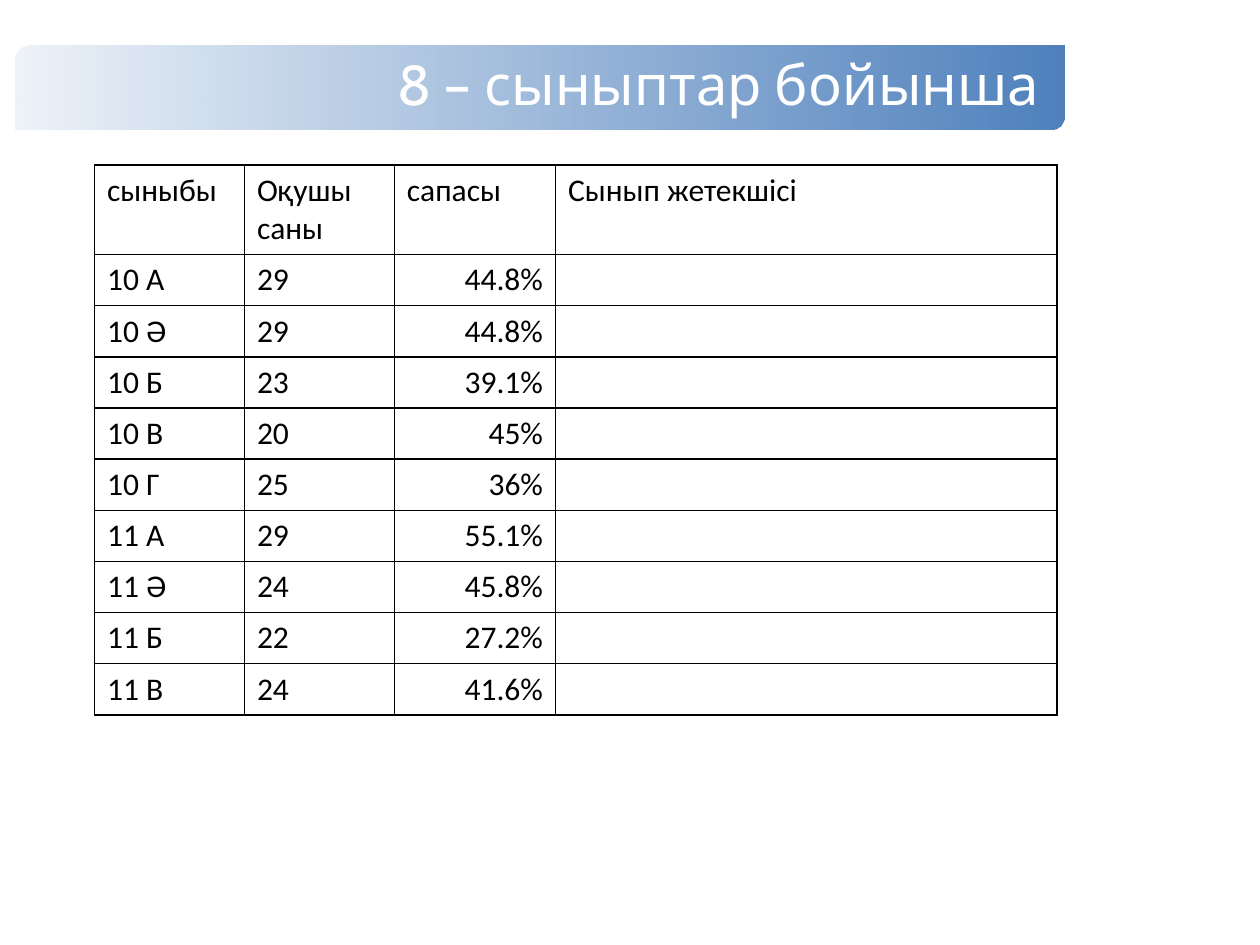
from lxml import etree
from pptx import Presentation
from pptx.dml.color import RGBColor
from pptx.enum.shapes import MSO_SHAPE
from pptx.enum.text import MSO_ANCHOR, PP_ALIGN
from pptx.oxml.ns import qn
from pptx.util import Inches, Pt

BLUE = RGBColor(0x4F, 0x81, 0xBD)
WHITE = RGBColor(0xFF, 0xFF, 0xFF)
BLACK = RGBColor(0, 0, 0)

TITLE = "8 – сыныптар бойынша"
HEADINGS = ("сыныбы", "Оқушы саны", "сапасы", "Сынып жетекшісі")
CLASSES = (
    ("10 А", "29", "44.8%", ""),
    ("10 Ә", "29", "44.8%", ""),
    ("10 Б", "23", "39.1%", ""),
    ("10 В", "20", "45%", ""),
    ("10 Г", "25", "36%", ""),
    ("11 А", "29", "55.1%", ""),
    ("11 Ә", "24", "45.8%", ""),
    ("11 Б", "22", "27.2%", ""),
    ("11 В", "24", "41.6%", ""),
)
COLUMN_WIDTHS = (1.19, 1.19, 1.28, 3.98)
QUALITY_COLUMN = 2


def add_text(paragraph, text, font_name, size, color):
    run = paragraph.add_run()
    run.text = text
    for name, value in {"name": font_name, "size": Pt(size)}.items():
        setattr(run.font, name, value)
    run.font.color.rgb = color


def add_title_banner(slide, left, top, width, height):
    banner = slide.shapes.add_shape(
        MSO_SHAPE.ROUND_2_DIAG_RECTANGLE, left, top, width, height)
    banner.shadow.inherit = False
    banner.line.fill.background()
    banner.fill.gradient()
    banner.fill.gradient_angle = 0
    stops = banner.fill.gradient_stops
    for stop, position in zip(stops, (0, 1)):
        stop.color.rgb = BLUE
        stop.position = position
    # The left end of the gradient is 10% opaque.
    faded = banner.fill._xPr.find(".//" + qn("a:srgbClr"))
    etree.SubElement(faded, qn("a:alpha"), val="10000")

    frame = banner.text_frame
    frame_format = {
        "word_wrap": True,
        "vertical_anchor": MSO_ANCHOR.MIDDLE,
        "margin_left": Inches(3),
        "margin_top": Inches(0.1),
        "margin_right": Inches(0.05),
        "margin_bottom": Inches(0.1),
    }
    for name, value in frame_format.items():
        setattr(frame, name, value)
    heading = frame.paragraphs[0]
    heading.alignment = PP_ALIGN.LEFT
    heading.line_spacing = 0.9
    add_text(heading, TITLE, "Cabin", 32, WHITE)


def add_borders(cell):
    properties = cell._tc.get_or_add_tcPr()
    for side in ("lnL", "lnR", "lnT", "lnB"):
        line = etree.SubElement(properties, qn("a:" + side), w=str(Pt(1)))
        fill = etree.SubElement(line, qn("a:solidFill"))
        etree.SubElement(fill, qn("a:srgbClr"), val=str(BLACK))


def add_class_table(slide, left, top, width, height):
    rows = (HEADINGS, *CLASSES)
    table = slide.shapes.add_table(
        len(rows), len(HEADINGS), left, top, width, height).table
    table.first_row = table.horz_banding = False
    for column, column_width in zip(table.columns, COLUMN_WIDTHS):
        column.width = Inches(column_width)
    for row_index, row in enumerate(rows):
        for column_index, text in enumerate(row):
            cell = table.cell(row_index, column_index)
            add_borders(cell)
            cell.fill.background()
            if not text:
                continue
            paragraph = cell.text_frame.paragraphs[0]
            if row_index and column_index == QUALITY_COLUMN:
                paragraph.alignment = PP_ALIGN.RIGHT
            add_text(paragraph, text, "Calibri", 18, BLACK)


def main():
    presentation = Presentation()
    presentation.slide_width = Inches(10)
    presentation.slide_height = Inches(7.5)
    slide = presentation.slides.add_slide(presentation.slide_layouts[6])
    add_title_banner(slide, Inches(0.12), Inches(0.36), Inches(8.33), Inches(0.67))
    add_class_table(slide, Inches(0.75), Inches(1.31),
                    Inches(sum(COLUMN_WIDTHS)), Inches(4.06))
    presentation.save("out.pptx")


if __name__ == "__main__":
    main()
